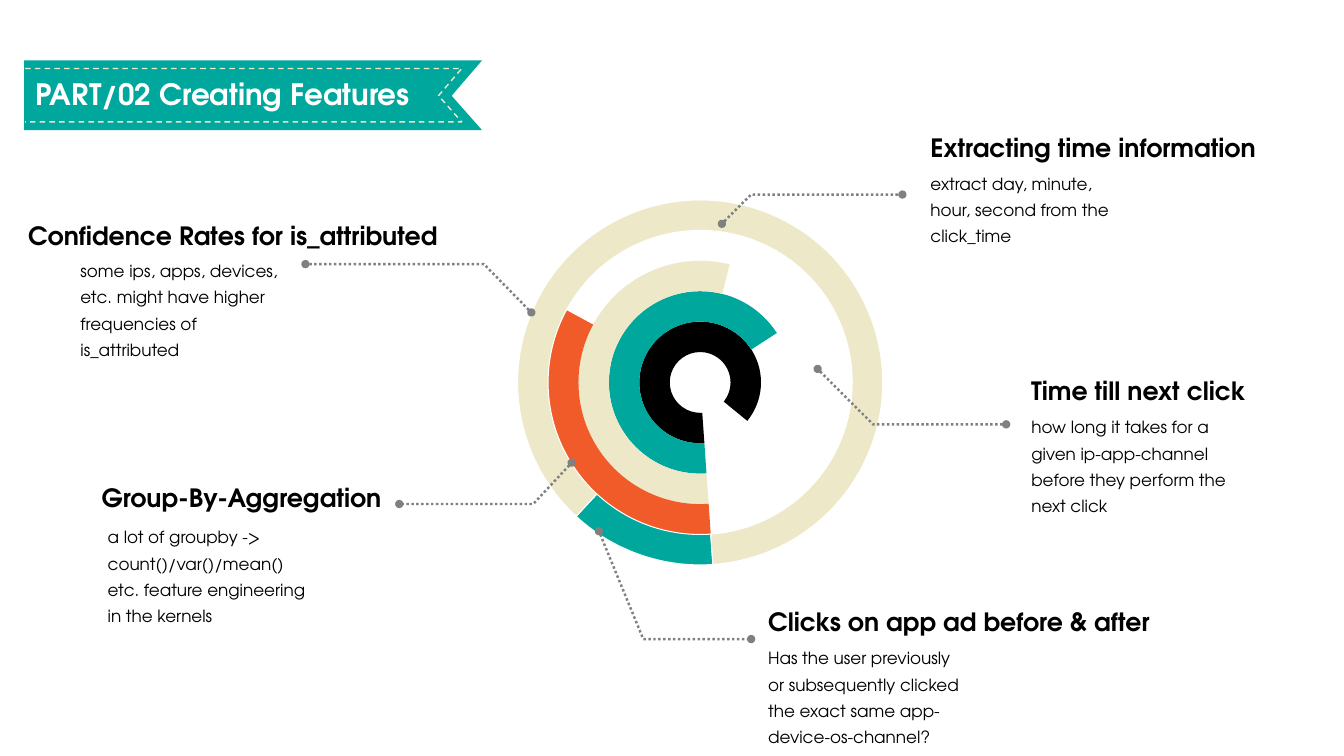
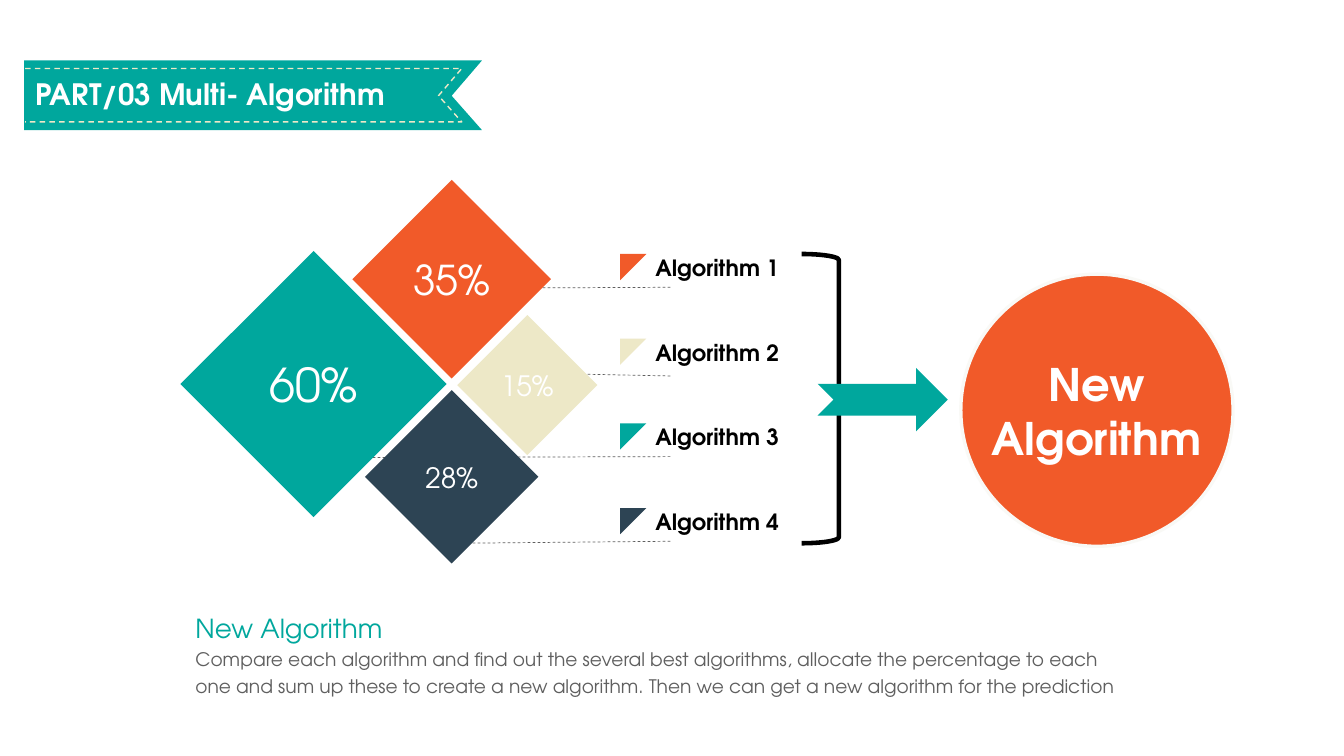
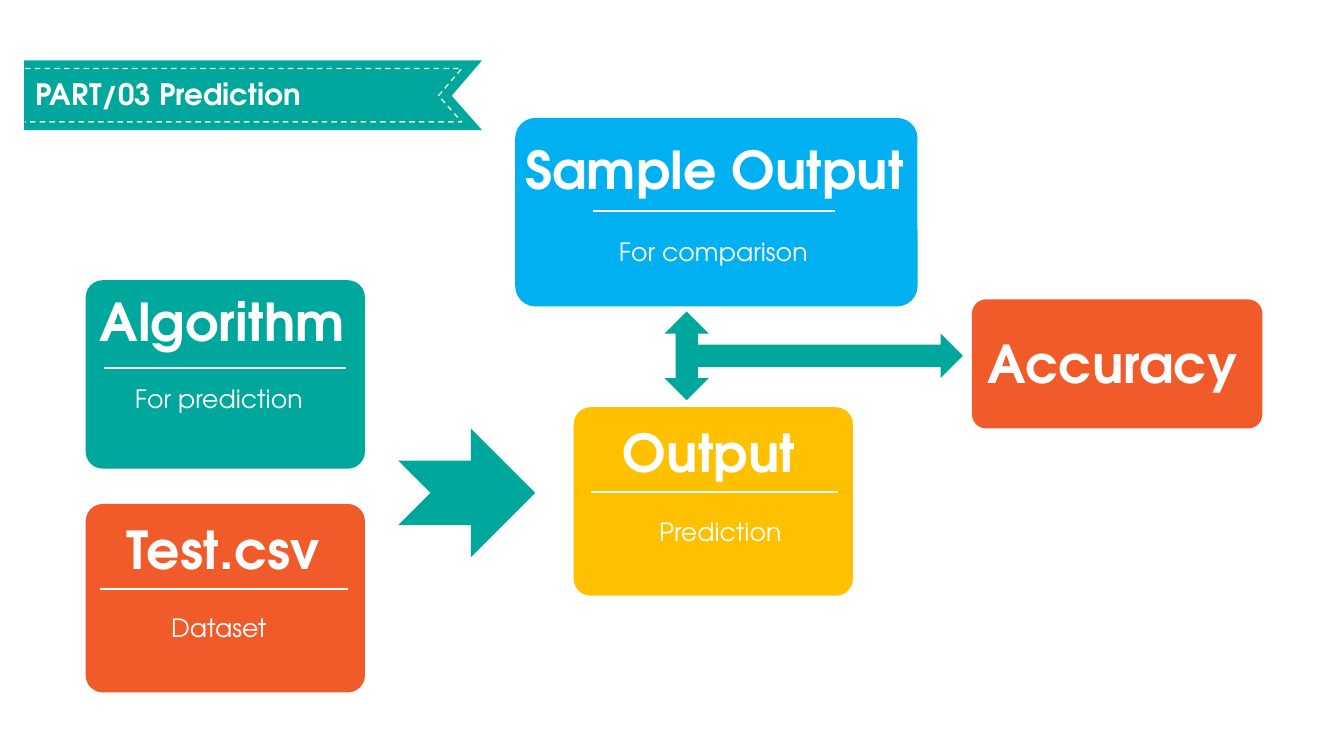
"""Build three ribbon-titled slides on features, algorithms and prediction."""
from dataclasses import dataclass
from typing import Optional

from lxml.etree import SubElement
from pptx import Presentation
from pptx.chart.data import CategoryChartData
from pptx.dml.color import RGBColor
from pptx.enum.chart import XL_CHART_TYPE as ChartType
from pptx.enum.dml import MSO_LINE as Dash
from pptx.enum.shapes import MSO_CONNECTOR as Connector, MSO_SHAPE as Shape
from pptx.enum.text import MSO_ANCHOR as Anchor, MSO_AUTO_SIZE as AutoSize, PP_ALIGN as Align
from pptx.oxml import parse_xml
from pptx.oxml.ns import nsdecls, qn
from pptx.util import Inches, Pt

Box = tuple[float, float, float, float]
Point = tuple[float, float]


@dataclass(frozen=True)
class Theme:
    font: str = "TeX Gyre Adventor"
    teal: str = "00A79D"
    orange: str = "F15A29"
    cream: str = "EDE8C7"
    navy: str = "2D4454"
    blue: str = "00B0F0"
    yellow: str = "FFC000"
    black: str = "000000"
    white: str = "FFFFFF"
    off_white: str = "F9F9F6"
    gray: str = "5F5F5F"
    leader: str = "808080"
    title: float = 21
    heading: float = 18
    body: float = 12
    legend: float = 16
    subtitle: float = 18.7
    summary: float = 13.3
    card: float = 37.3
    result: float = 32
    chart: float = 10


T = Theme()


@dataclass(frozen=True)
class Ring:
    share: int
    color: str
    rest: Optional[str] = None


@dataclass(frozen=True)
class Callout:
    heading: str
    heading_box: Box
    body: str
    body_box: Box
    leader: list[Point]


@dataclass(frozen=True)
class Diamond:
    label: str
    center: Point
    side: float
    color: str
    size: float


@dataclass(frozen=True)
class LegendRow:
    label: str
    color: str
    line_start: Point
    line_end: Point


@dataclass(frozen=True)
class Card:
    box: Box
    color: str
    radius: float
    heading: str
    heading_at: Point
    heading_width: float
    caption: str = ""
    caption_box: Optional[Box] = None
    rule: Optional[tuple[float, float, float]] = None


RINGS = [
    Ring(87, T.black),
    Ring(67, T.teal),
    Ring(55, T.cream),
    Ring(34, T.orange),
    Ring(13, T.teal, T.cream),
]

CALLOUTS = [
    Callout("Confidence Rates for is_attributed", (0.18, 2.14, 4.33, 0.4),
            "some ips, apps, devices, etc. might have higher frequencies of is_attributed",
            (0.7, 2.48, 2.23, 1.12), [(5.27, 3.1), (4.8, 2.62), (3.03, 2.62)]),
    Callout("Group-By-Aggregation", (0.91, 4.74, 3.02, 0.4),
            "a lot of groupby -> count()/var()/mean() etc. feature engineering in the kernels",
            (0.97, 5.12, 2.27, 1.12), [(5.67, 4.59), (5.29, 5), (3.96, 5)]),
    Callout("Extracting time information", (9.13, 1.26, 3.49, 0.4),
            "extract day, minute, hour, second from the click_time",
            (9.13, 1.61, 2.19, 0.86), [(7.16, 2.22), (7.45, 1.93), (8.95, 1.93)]),
    Callout("Time till next click", (10.13, 3.67, 2.37, 0.4),
            "how long it takes for a given ip-app-channel before they perform the next click",
            (10.13, 4.03, 2.19, 1.12), [(8.11, 3.66), (8.66, 4.21), (9.98, 4.21)]),
    Callout("Clicks on app ad before & after", (7.52, 5.97, 4.03, 0.4),
            "Has the user previously or subsequently clicked the exact same app-device-os-channel?",
            (7.52, 6.32, 2.19, 1.12), [(5.94, 5.27), (6.38, 6.34), (7.45, 6.34)]),
]

DIAMONDS = [
    Diamond("60%", (3.11, 3.81), 2.64, T.teal, 33.3),
    Diamond("28%", (4.48, 4.73), 1.72, T.navy, 20),
    Diamond("35%", (4.48, 2.77), 1.97, T.orange, 29.3),
    Diamond("15%", (5.23, 3.82), 1.39, T.cream, 20),
]

LEGEND = [
    LegendRow("Algorithm 1", T.orange, (6.65, 2.85), (4.46, 2.86)),
    LegendRow("Algorithm 2", T.cream, (6.65, 3.73), (5.2, 3.7)),
    LegendRow("Algorithm 3", T.teal, (6.65, 4.53), (3.27, 4.54)),
    LegendRow("Algorithm 4", T.navy, (6.65, 5.37), (4.49, 5.39)),
]

CARDS = [
    Card((0.85, 2.78, 2.77, 1.87), T.teal, 0.17, "Algorithm", (0.89, 2.82), 2.65,
         "For prediction", (1.24, 3.69, 1.89, 0.43), (1.03, 3.43, 3.65)),
    Card((0.85, 5, 2.77, 1.87), T.orange, 0.17, "Test.csv", (1.16, 5.08), 2.15,
         "Dataset", (1.6, 5.97, 1.17, 0.43), (0.99, 3.45, 5.84)),
    Card((5.11, 1.17, 3.99, 1.87), T.blue, 0.2, "Sample Output", (5.11, 1.31), 3.99,
         "For comparison", (6.04, 2.24, 2.14, 0.43), (5.88, 8.28, 2.09)),
    Card((5.69, 4.04, 2.77, 1.87), T.yellow, 0.17, "Output", (6.08, 4.12), 1.93,
         "Prediction", (6.44, 5.01, 1.43, 0.43), (5.86, 8.31, 4.88)),
    Card((9.64, 2.97, 2.88, 1.28), T.orange, 0.14, "Accuracy", (9.7, 3.24), 2.75),
]


def rgb(color: str) -> RGBColor:
    return RGBColor.from_string(color)


def set_fill(fill, color: Optional[str]) -> None:
    if color is None:
        fill.background()
    else:
        fill.solid()
        fill.fore_color.rgb = rgb(color)


def set_line(line, color: Optional[str], width: float = 1, dash=None) -> None:
    if color is None:
        line.fill.background()
        return
    line.color.rgb = rgb(color)
    line.width = Pt(width)
    if dash is not None:
        line.dash_style = dash


def set_font(font, size: float, color: str, bold: bool = False) -> None:
    font.name = T.font
    font.size = Pt(size)
    font.bold = bold
    font.color.rgb = rgb(color)


def write(tf, text: str, size: float, color: str, bold: bool = False,
          spacing: Optional[float] = None, align=Align.LEFT) -> None:
    tf.text = text
    for p in tf.paragraphs:
        p.alignment = align
        if spacing:
            p.line_spacing = spacing
        for r in p.runs:
            set_font(r.font, size, color, bold)


def clear_insets(tf) -> None:
    tf.margin_left = tf.margin_right = tf.margin_top = tf.margin_bottom = Inches(0)


def add_text(slide, box: Box, text: str, size: float, color: str, bold: bool = False,
             spacing: Optional[float] = None, wrap: bool = False):
    tf = slide.shapes.add_textbox(*map(Inches, box)).text_frame
    tf.word_wrap = wrap
    tf.auto_size = AutoSize.SHAPE_TO_FIT_TEXT
    write(tf, text, size, color, bold, spacing)
    return tf


def add_preset(slide, kind, box: Box, fill: Optional[str], adjustments: tuple = ()):
    sp = slide.shapes.add_shape(kind, *map(Inches, box))
    sp.shadow.inherit = False
    set_fill(sp.fill, fill)
    set_line(sp.line, None)
    for i, value in enumerate(adjustments):
        sp.adjustments[i] = value
    return sp


def add_label(sp, text: str, size: float, bold: bool = False) -> None:
    tf = sp.text_frame
    clear_insets(tf)
    tf.word_wrap = False
    tf.vertical_anchor = Anchor.MIDDLE
    write(tf, text, size, T.white, bold, align=Align.CENTER)


def add_path(slide, points: list[Point], close: bool = False):
    start, *others = [(Inches(x), Inches(y)) for x, y in points]
    builder = slide.shapes.build_freeform(*start)
    builder.add_line_segments(others, close=close)
    sp = builder.convert_to_shape()
    sp.shadow.inherit = False
    sp.fill.background()
    return sp


def add_line(slide, start: Point, end: Point, color: str, width: float, dash=None) -> None:
    line = slide.shapes.add_connector(Connector.STRAIGHT, *map(Inches, start + end))
    set_line(line.line, color, width, dash)
    SubElement(line.element.spPr, qn("a:effectLst"))


def add_leader(slide, points: list[Point]) -> None:
    sp = add_path(slide, points)
    set_line(sp.line, T.leader, 1.75, Dash.ROUND_DOT)
    ln = sp.element.xpath("./p:spPr/a:ln")[0]
    for tag in ("a:headEnd", "a:tailEnd"):
        SubElement(ln, qn(tag), type="oval")


def add_ribbon(slide) -> None:
    """Draw the title ribbon and hand it to the slide's layout."""
    band = add_path(slide, [(4.78, 1.29), (0.24, 1.29), (0.24, 0.6), (4.78, 0.6), (4.48, 0.95)], True)
    set_fill(band.fill, T.teal)
    set_line(band.line, None)
    stitch = add_path(slide, [(0.25, 0.68), (4.58, 0.68), (4.35, 0.95), (4.58, 1.21), (0.25, 1.21)])
    set_line(stitch.line, T.cream, 1, Dash.DASH)
    for sp in (band, stitch):
        slide.slide_layout.shapes.element.append(sp.element)


def add_titled_slide(prs, title: str):
    slide = prs.slides.add_slide(prs.slide_layouts[5])
    sp = slide.shapes.title
    sp.left, sp.top, sp.width, sp.height = map(Inches, (0.25, 0.71, 4.42, 0.45))
    tf = sp.text_frame
    tf.auto_size = AutoSize.NONE
    tf.word_wrap = True
    tf.vertical_anchor = Anchor.TOP
    write(tf, title, T.title, T.white, True)
    return slide


def add_ring_chart(slide) -> None:
    data = CategoryChartData()
    data.categories = ["1", "2"]
    for i, ring in enumerate(RINGS, 1):
        data.add_series(f"Series {i}", (ring.share, 100 - ring.share))
    box = map(Inches, (2.83, 1.77, 8.23, 4.05))
    chart = slide.shapes.add_chart(ChartType.DOUGHNUT, *box, data).chart
    chart.has_legend = chart.has_title = False
    set_font(chart.font, T.chart, T.black)
    plot = chart.plots[0]
    plot.vary_by_categories = False
    for ring, series in zip(RINGS, plot.series):
        for i, color in enumerate((ring.color, ring.rest)):
            fmt = series.points[i].format
            set_fill(fmt.fill, color)
            set_line(fmt.line, T.white if ring.rest else None, 0.75)
    root = chart.element
    root.xpath("//c:firstSliceAng")[0].set("val", "176")
    root.xpath("//c:holeSize")[0].set("val", "60")
    area = root.xpath("//c:plotArea")[0]
    for old in area.xpath("./c:layout"):
        area.remove(old)
    frame = {"layoutTarget": "inner", "xMode": "edge", "yMode": "edge",
             "x": 0.28, "y": 0.05, "w": 0.44, "h": 0.9}
    parts = "".join(f'<c:{tag} val="{value}"/>' for tag, value in frame.items())
    area.insert(0, parse_xml(
        f'<c:layout {nsdecls("c")}><c:manualLayout>{parts}</c:manualLayout></c:layout>'))


def add_callout(slide, c: Callout) -> None:
    add_leader(slide, c.leader)
    add_text(slide, c.body_box, c.body, T.body, T.black, spacing=1.3, wrap=True)
    add_text(slide, c.heading_box, c.heading, T.heading, T.black, True)


def add_legend_row(slide, row: LegendRow, top: float) -> None:
    add_line(slide, row.line_start, row.line_end, T.gray, 0.5, Dash.DASH)
    add_preset(slide, Shape.RIGHT_TRIANGLE, (6.15, top, 0.26, 0.26), row.color).rotation = 90
    clear_insets(add_text(slide, (6.5, top, 1.23, 0.27), row.label, T.legend, T.black, True))


def add_diamond(slide, d: Diamond) -> None:
    x, y = d.center
    box = (x - d.side / 2, y - d.side / 2, d.side, d.side)
    add_label(add_preset(slide, Shape.DIAMOND, box, d.color), d.label, d.size)


def add_card(slide, card: Card) -> None:
    add_preset(slide, Shape.ROUNDED_RECTANGLE, card.box, card.color, (card.radius / card.box[3],))
    heading_box = (*card.heading_at, card.heading_width, 0.73)
    add_text(slide, heading_box, card.heading, T.card, T.white, True)
    if card.rule:
        left, right, y = card.rule
        add_line(slide, (left, y), (right, y), T.white, 1.5)
    if card.caption_box:
        add_text(slide, card.caption_box, card.caption, T.heading, T.white, spacing=1.2)


def build_features(prs) -> None:
    slide = add_titled_slide(prs, "PART/02 Creating Features")
    add_ribbon(slide)
    add_ring_chart(slide)
    for callout in CALLOUTS:
        add_callout(slide, callout)


def build_algorithms(prs) -> None:
    slide = add_titled_slide(prs, "PART/03 Multi- Algorithm")
    for i, row in enumerate(LEGEND):
        add_legend_row(slide, row, 2.52 + 0.84 * i)
    for diamond in DIAMONDS:
        add_diamond(slide, diamond)
    summary = ("Compare each algorithm and find out the several best algorithms, allocate the "
               "percentage to each one and sum up these to create a new algorithm. Then we can "
               "get a new algorithm for the prediction")
    tf = add_text(slide, (1.84, 5.96, 9.5, 0.99), f"New Algorithm\n{summary}",
                  T.summary, T.gray, spacing=1.2, wrap=True)
    set_font(tf.paragraphs[0].runs[0].font, T.subtitle, T.teal)
    brace = add_preset(slide, Shape.RIGHT_BRACE, (7.95, 2.52, 0.74, 2.87), None, (0.08, 0.51))
    set_line(brace.line, T.black, 3.25)
    add_preset(slide, Shape.NOTCHED_RIGHT_ARROW, (8.11, 3.65, 1.29, 0.63), T.teal)
    result = add_preset(slide, Shape.OVAL, (9.53, 2.72, 2.7, 2.7), T.orange)
    set_line(result.line, T.off_white, 2.38)
    add_label(result, "New\nAlgorithm", T.result, True)


def build_prediction(prs) -> None:
    slide = add_titled_slide(prs, "PART/03 Prediction")
    for card in CARDS:
        add_card(slide, card)
    add_preset(slide, Shape.NOTCHED_RIGHT_ARROW, (3.95, 4.25, 1.36, 1.28), T.teal)
    add_preset(slide, Shape.LEFT_RIGHT_UP_ARROW, (7.63, 2.05, 0.88, 2.96), T.teal).rotation = 90


def main() -> None:
    prs = Presentation()
    prs.slide_width, prs.slide_height = Inches(13.33), Inches(7.5)
    build_features(prs)
    build_algorithms(prs)
    build_prediction(prs)
    prs.save("out.pptx")


if __name__ == "__main__":
    main()
